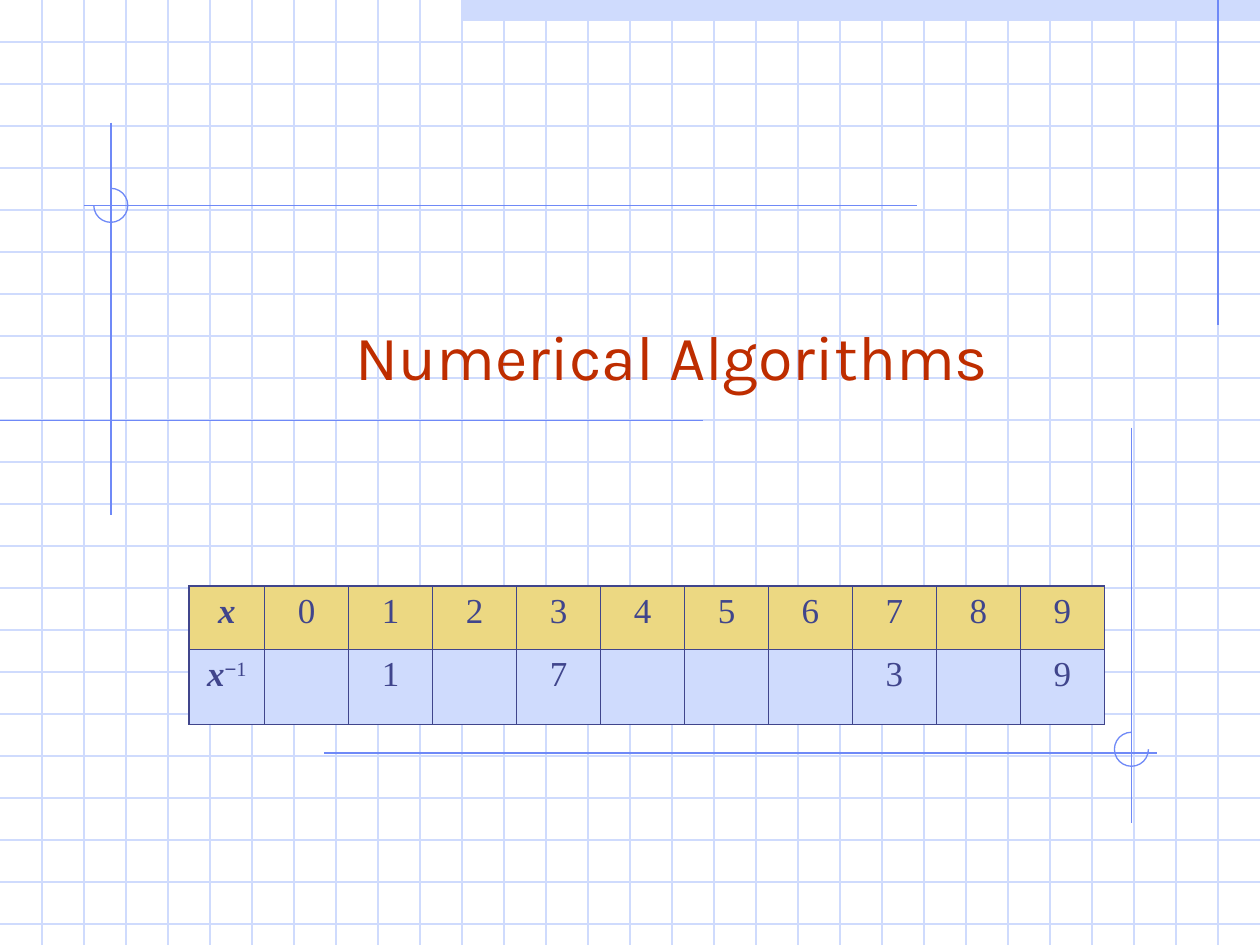
from collections import namedtuple

from lxml.etree import SubElement
from pptx import Presentation
from pptx.dml.color import RGBColor
from pptx.enum.shapes import MSO_CONNECTOR, MSO_SHAPE
from pptx.enum.text import MSO_ANCHOR, PP_ALIGN
from pptx.oxml.ns import qn
from pptx.util import Inches, Pt

COLORS = {
    "grid": "CFDBFD",
    "guide": "6F89F7",
    "title": "BE2D00",
    "ink": "40458C",
    "header": "ECD882",
    "body": "CFDBFD",
}
# All lengths are in squares of the graph paper, three to the inch.
COLUMNS, ROWS = 30, 22.5
RING_SIZE = 0.81
THIN, THICK = 0.45, 1.08

Box = namedtuple("Box", "left top width height")


def squares(count):
    return Inches(count / 3)


def rgb(name):
    return RGBColor.from_string(COLORS[name])


def draw_line(page, x1, y1, x2, y2, color):
    line = page.shapes.add_connector(
        MSO_CONNECTOR.STRAIGHT, *map(squares, (x1, y1, x2, y2)))
    line.line.color.rgb = rgb(color)
    line.line.width = Pt(0.75)
    SubElement(line._element.spPr, qn("a:effectLst"))


def draw_shape(page, kind, box):
    shape = page.shapes.add_shape(kind, *map(squares, box))
    shape.shadow.inherit = False
    return shape


def add_span(para, text, font, size, color, bold=False, italic=False, raised=False):
    span = para.add_run()
    span.text = text
    span.font.name = font
    span.font.size = Pt(size)
    span.font.color.rgb = rgb(color)
    span.font.bold = bold
    span.font.italic = italic
    if raised:
        span._r.get_or_add_rPr().set("baseline", "30000")


def draw_graph_paper(page, box):
    right, bottom = box.left + box.width, box.top + box.height
    band = draw_shape(page, MSO_SHAPE.RECTANGLE,
                      Box(box.left + 11, box.top, box.width - 11, 0.5))
    band.fill.solid()
    band.fill.fore_color.rgb = rgb("grid")
    band.line.fill.background()
    for row in range(1, int(box.height) + 1):
        draw_line(page, box.left, box.top + row, right, box.top + row, "grid")
    for column in range(1, int(box.width)):
        draw_line(page, box.left + column, box.top, box.left + column, bottom, "grid")


def draw_edge_guides(page, box):
    margin = box.left + box.width - 1
    draw_line(page, margin, box.top, margin, box.top + 7.75, "guide")
    draw_line(page, box.left, box.top + 10.02, box.left + 16.74, box.top + 10.02, "guide")


def draw_corner_mark(page, box, cross, ring_lift, start, end):
    """Cross two guides inside the box, with an arc from start to end degrees."""
    x, y = box.left + cross[0], box.top + cross[1]
    draw_line(page, box.left, y, box.left + box.width, y, "guide")
    draw_line(page, x, box.top, x, box.top + box.height, "guide")
    ring = draw_shape(page, MSO_SHAPE.ARC, Box(
        x - RING_SIZE / 2, y - ring_lift - RING_SIZE / 2, RING_SIZE, RING_SIZE))
    # Arc angles are stored as 60000ths of a degree, scaled by 100000.
    ring.adjustments[0], ring.adjustments[1] = start * 0.6, end * 0.6
    ring.fill.background()
    ring.line.color.rgb = rgb("guide")
    ring.line.width = Pt(0.75)


def add_title(page, box, text):
    frame = page.shapes.add_textbox(*map(squares, box)).text_frame
    frame.word_wrap = True
    frame.vertical_anchor = MSO_ANCHOR.BOTTOM
    para = frame.paragraphs[0]
    para.alignment = PP_ALIGN.CENTER
    add_span(para, text, "Karla", 36, "title")


def set_borders(cell, widths):
    """Set the left, right, top and bottom borders; call before filling."""
    properties = cell._tc.get_or_add_tcPr()
    for side, width in zip("LRTB", widths):
        border = SubElement(properties, qn(f"a:ln{side}"), w=str(int(Pt(width))))
        fill = SubElement(border, qn("a:solidFill"))
        SubElement(fill, qn("a:srgbClr"), val=COLORS["ink"])


def add_inverse_table(page, box, inverses):
    """Table of digits over their inverses; digits without one stay blank."""
    digits = range(10)
    lines = [[str(digit) for digit in digits],
             [str(inverses.get(digit, "")) for digit in digits]]
    table = page.shapes.add_table(2, 11, *map(squares, box)).table
    table.first_row = table.horz_banding = False
    label_width = 1.8
    for index, column in enumerate(table.columns):
        column.width = squares((box.width - label_width) / 10 if index else label_width)
    for row, height in zip(table.rows, (1.5, box.height - 1.5)):
        row.height = squares(height)

    for i, line in enumerate(lines):
        for j, text in enumerate(["x"] + line):
            cell = table.cell(i, j)
            outer = (j == 0, j == 10, i == 0, i == 1)
            set_borders(cell, [THICK if edge else THIN for edge in outer])
            cell.fill.solid()
            cell.fill.fore_color.rgb = rgb("body" if i else "header")
            para = cell.text_frame.paragraphs[0]
            para.alignment = PP_ALIGN.CENTER
            if text:
                label = j == 0
                add_span(para, text, "Times New Roman", 20, "ink", label, label)
    exponent = table.cell(1, 0).text_frame.paragraphs[0]
    add_span(exponent, "−", "Arial", 20, "ink", raised=True)
    add_span(exponent, "1", "Times New Roman", 20, "ink", raised=True)


def main():
    deck = Presentation()
    deck.slide_width, deck.slide_height = squares(COLUMNS), squares(ROWS)
    page = deck.slides.add_slide(deck.slide_layouts[6])
    whole = Box(0, 0, COLUMNS, ROWS)
    draw_graph_paper(page, whole)
    draw_edge_guides(page, whole)
    draw_corner_mark(page, Box(2, 2.92, 19.84, 9.35), (0.64, 1.97), 0, 270, 180)
    draw_corner_mark(page, Box(7.72, 10.18, 19.82, 9.41), (19.22, 7.75), 0.09, 0, 270)
    add_title(page, Box(3.25, 5.75, 25.5, 3.75), "Numerical Algorithms")
    add_inverse_table(page, Box(4.5, 13.95, 21.8, 3.3), {1: 1, 3: 7, 7: 3, 9: 9})
    deck.save("out.pptx")


if __name__ == "__main__":
    main()
